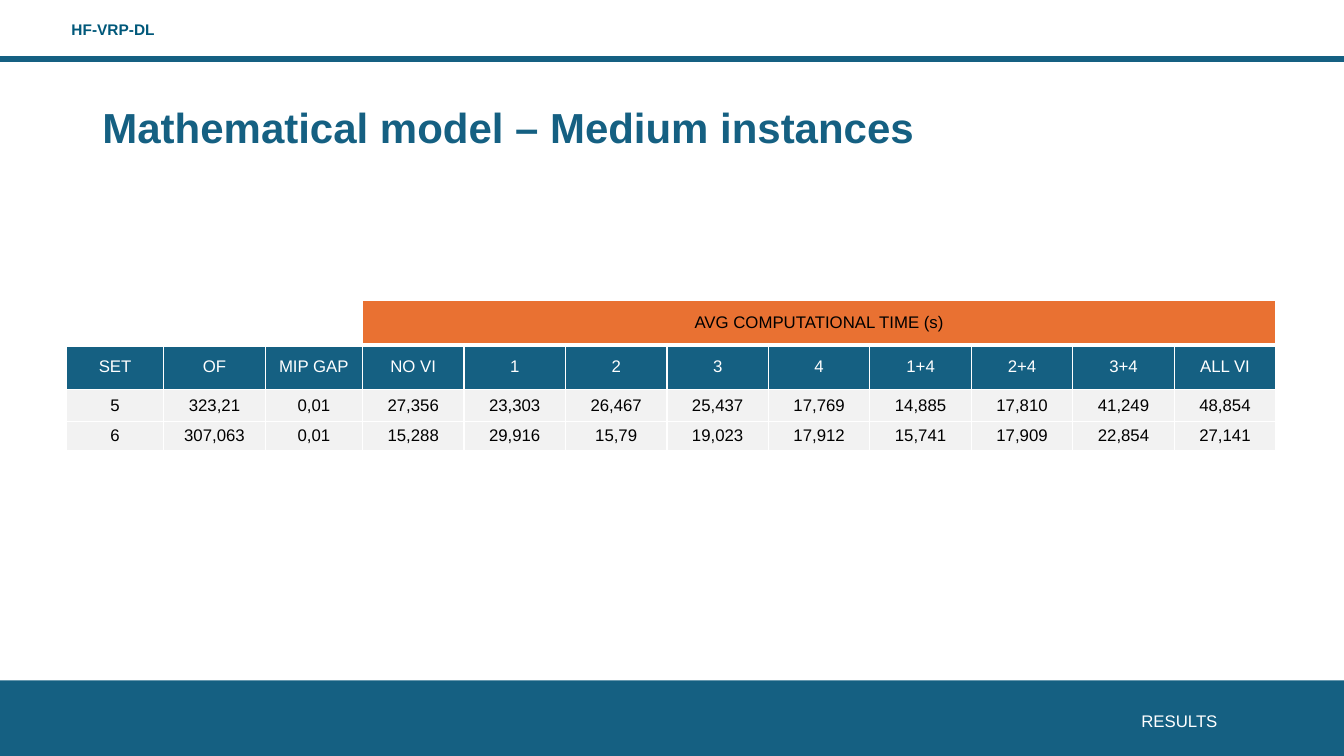
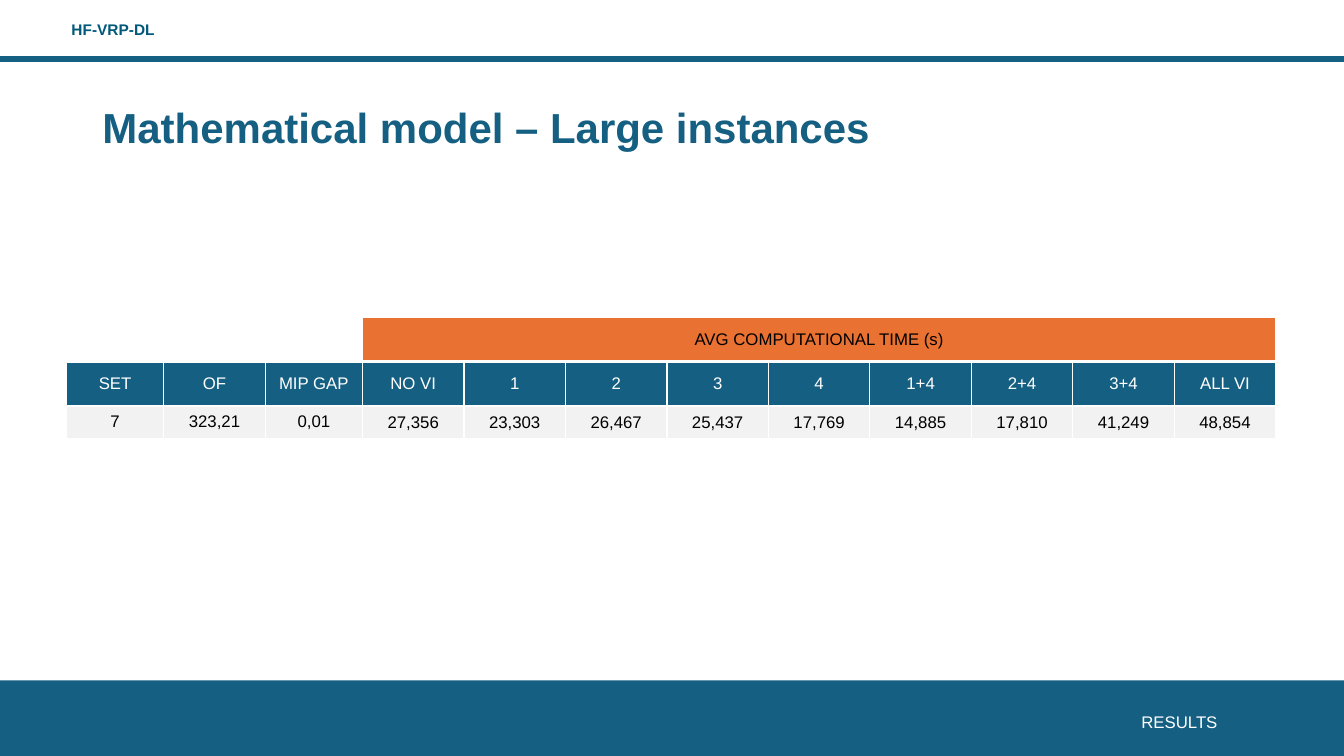
from lxml import etree
from pptx import Presentation
from pptx.dml.color import RGBColor
from pptx.enum import shapes, text
from pptx.oxml import ns
from pptx.util import Pt

FONT = "Arial"
BLUE, NAVY, ORANGE = "156082", "00587A", "E97132"
GREY, WHITE, BLACK = "F2F2F2", "FFFFFF", "000000"

RUNNING_HEAD, SECTION = "HF-VRP-DL", "RESULTS"
TIME_HEAD = "AVG COMPUTATIONAL TIME (s)"
HEADINGS = ["SET", "OF", "MIP GAP", "NO VI", "1", "2", "3", "4",
            "1+4", "2+4", "3+4", "ALL VI"]
FIRST_TIME = HEADINGS.index("NO VI")
SLIDES = [
    {"title": "Mathematical model – Medium instances", "table_top": 214.5, "section_top": 504,
     "rows": [
         ["5", "323,21", "0,01", "27,356", "23,303", "26,467", "25,437", "17,769",
          "14,885", "17,810", "41,249", "48,854"],
         ["6", "307,063", "0,01", "15,288", "29,916", "15,79", "19,023", "17,912",
          "15,741", "17,909", "22,854", "27,141"]]},
    {"title": "Mathematical model – Large instances", "table_top": 226.5, "section_top": 504.7,
     "rows": [
         ["7", "323,21", "0,01", "27,356", "23,303", "26,467", "25,437", "17,769",
          "14,885", "17,810", "41,249", "48,854"]]},
]

# left, top, width, height, outline width
BANDS = [(-2, 486, 964, 57, 0), (-2, 40.5, 964, 3, 1.5)]
TABLE_LEFT = 47.5
COLUMNS = [69.5, 72.5, 69.5] + [72.5] * 9
HEAD_HEIGHT, DATA_HEIGHTS = 31.75, [23, 21]
TIGHT = {"margin_left": 0.72, "margin_right": 0.72, "margin_top": 0.72, "margin_bottom": 0}


def rgb(value):
    return RGBColor.from_string(value)


def write(tf, words, size, color, bold=False, align=text.PP_ALIGN.LEFT):
    p = tf.paragraphs[0]
    p.alignment = align
    r = p.add_run()
    r.text = words
    for name, value in {"name": FONT, "size": Pt(size), "bold": bold}.items():
        setattr(r.font, name, value)
    r.font.color.rgb = rgb(color)
    return p


def add_text(slide, box, *args, wrap=True, **style):
    sp = slide.shapes.add_textbox(*map(Pt, box))
    sp.text_frame.word_wrap = wrap
    sp.text_frame.auto_size = text.MSO_AUTO_SIZE.SHAPE_TO_FIT_TEXT
    write(sp.text_frame, *args, **style)
    return sp


def add_band(slide, left, top, width, height, outline):
    sp = slide.shapes.add_shape(shapes.MSO_SHAPE.RECTANGLE, *map(Pt, (left, top, width, height)))
    sp.shadow.inherit = False
    sp.fill.solid()
    sp.fill.fore_color.rgb = rgb(BLUE)
    if outline:
        sp.line.color.rgb = rgb(BLUE)
        sp.line.width = Pt(outline)
    else:
        sp.line.fill.background()
    return sp


def share_frame(layout, slide):
    """Build the bands and running head, then move them to the layout."""
    parts = [add_band(slide, *band) for band in BANDS]
    parts.append(add_text(slide, (44, 11, 75, 21), RUNNING_HEAD, 11, NAVY, bold=True, wrap=False))
    for sp in parts:
        layout.shapes.element.append(sp.element)


def style_cell(cell, fill, **edges):
    """Fill a cell and give it white borders, 1 pt unless edges says otherwise."""
    tcPr = cell._tc.get_or_add_tcPr()
    for side in "LRTB":
        ln = etree.SubElement(tcPr, ns.qn("a:ln" + side), w=str(Pt(edges.get(side, 1))))
        solid = etree.SubElement(ln, ns.qn("a:solidFill"))
        etree.SubElement(solid, ns.qn("a:srgbClr"), val=WHITE)
    cell.fill.solid()
    cell.fill.fore_color.rgb = rgb(fill)
    cell.vertical_anchor = text.MSO_ANCHOR.MIDDLE


def add_results(slide, top, rows):
    heights = [HEAD_HEIGHT] * 2 + DATA_HEIGHTS[:len(rows)]
    frame = slide.shapes.add_table(len(heights), len(COLUMNS), Pt(TABLE_LEFT), Pt(top),
                                   Pt(sum(COLUMNS)), Pt(sum(heights)))
    table = frame.table
    table.first_row = table.horz_banding = False
    for column, width in zip(table.columns, COLUMNS):
        column.width = Pt(width)
    for row, height in zip(table.rows, heights):
        row.height = Pt(height)

    group_heads = [""] * len(HEADINGS)
    group_heads[FIRST_TIME] = TIME_HEAD
    for i, values in enumerate([group_heads, HEADINGS] + rows):
        for j, value in enumerate(values):
            cell = table.cell(i, j)
            if i == 0:
                style_cell(cell, ORANGE if j >= FIRST_TIME else WHITE, B=3)
            elif i == 1:
                style_cell(cell, BLUE, T=3)
            else:
                style_cell(cell, GREY)
            if i == 2 and j >= FIRST_TIME:
                for name, margin in TIGHT.items():
                    setattr(cell, name, Pt(margin))
            if value:
                write(cell.text_frame, value, 12, WHITE if i == 1 else BLACK,
                      align=text.PP_ALIGN.CENTER)
    table.cell(0, 0).merge(table.cell(0, FIRST_TIME - 1))
    table.cell(0, FIRST_TIME).merge(table.cell(0, len(HEADINGS) - 1))


def set_title(slide, words):
    sp = slide.shapes.title
    box = {"left": 66, "top": 53.5, "width": 828, "height": 79}
    for name, value in box.items():
        setattr(sp, name, Pt(value))
    tf = sp.text_frame
    tf.auto_size = text.MSO_AUTO_SIZE.NONE
    tf.vertical_anchor = text.MSO_ANCHOR.MIDDLE
    write(tf, words, 30, BLUE, bold=True).line_spacing = 0.9


def main():
    prs = Presentation()
    prs.slide_width, prs.slide_height = Pt(960), Pt(540)
    layout = prs.slide_layouts[5]
    for number, content in enumerate(SLIDES):
        slide = prs.slides.add_slide(layout)
        if number == 0:
            share_frame(layout, slide)
        set_title(slide, content["title"])
        add_results(slide, content["table_top"], content["rows"])
        add_text(slide, (708.5, content["section_top"], 268, 21.6), SECTION, 12, WHITE,
                 align=text.PP_ALIGN.CENTER)
    prs.save("out.pptx")


if __name__ == "__main__":
    main()
